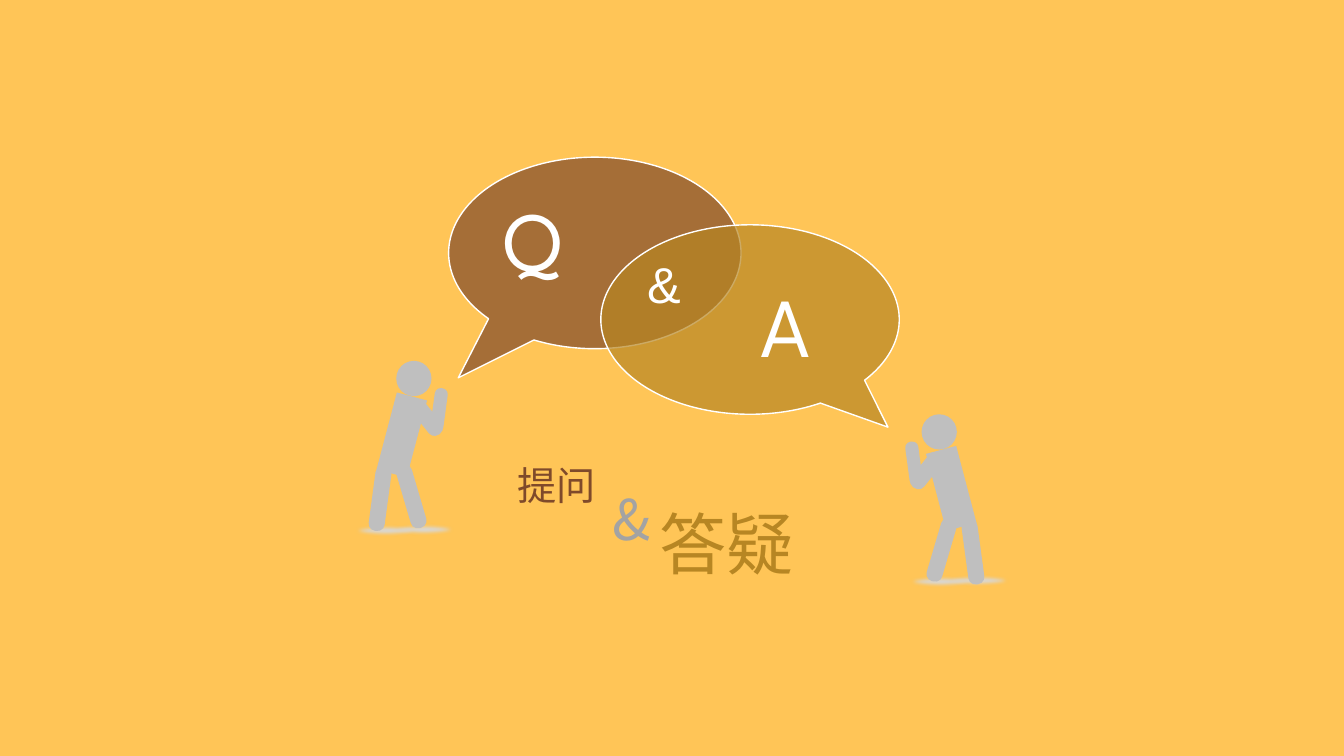
from lxml import etree
from pptx import Presentation
from pptx.dml.color import RGBColor
from pptx.enum import shapes, text
from pptx.oxml import ns
from pptx.util import Inches, Pt

THEME = {
    "back": "FFC557", "body": "BFBFBF", "shade": "D9D9D9", "white": "FFFFFF",
    "brown": "7F4A2A", "gold": "B78623", "gray": "A3A3A3",
    "title": "League Spartan", "plain": "Arial", "cjk": "Noto Sans CJK SC",
    "huge": 60, "large": 48, "mid": 40, "amp": 36, "small": 28,
}
KIND = shapes.MSO_SHAPE

# Shadows on the floor: left, top
FLOOR = [(3.84, 5.19), (8.96, 5.71), (9.34, 5.7), (3.46, 5.2)]
# Right-hand speaker: kind, (left, top, width, height), turn
SPEAKER = [
    (KIND.OVAL, (9.14, 4.11, 0.35, 0.35), 0),
    (KIND.RECTANGLE, (9.28, 4.45, 0.31, 0.79), -14.8),
    (KIND.ROUNDED_RECTANGLE, (9.26, 5.13, 0.16, 0.65), 16.4),
    (KIND.ROUNDED_RECTANGLE, (9.57, 5.15, 0.16, 0.65), -7.7),
    (KIND.ROUNDED_RECTANGLE, (9.11, 4.46, 0.16, 0.42), 38.6),
    (KIND.ROUNDED_RECTANGLE, (9, 4.38, 0.13, 0.44), -7.7),
]
MIRROR, LIFT = 13.42, 0.53
# Bubbles: box, tail point, fill
BUBBLES = [
    ((4.45, 1.56, 2.9, 1.9), (-0.467, 0.652), "brown"),
    ((5.96, 2.23, 2.96, 1.88), (0.462, 0.568), "gold"),
]
# Labels: wording, box, format
LABELS = [
    ("Q", (4.9, 1.88, 0.79, 0.97), dict(size="huge", font="title", color="white")),
    ("A", (7.44, 2.73, 0.73, 0.97), dict(size="huge", font="title", color="white")),
    ("&", (6.32, 2.46, 0.54, 0.71),
     dict(size="amp", font="plain", color="white", top=True)),
    ("提问", (5.03, 4.53, 0.99, 0.57), dict(size="small", color="brown")),
    ("答疑", (6.44, 4.93, 1.55, 0.91), dict(size="large", color="gold")),
    ("&", (5.98, 4.76, 0.54, 0.77), dict(size="mid", color="gray")),
]


def tint(name):
    """Return a theme colour."""
    return RGBColor.from_string(THEME[name])


def place(box):
    """Turn a box in inches into lengths."""
    return [Inches(n) for n in box]


def add(home, kind, box, color, turn=0, adjust=()):
    """Add a filled preset shape without outline or shadow."""
    shape = home.add_shape(kind, *place(box))
    shape.shadow.inherit = False
    shape.fill.solid()
    shape.fill.fore_color.rgb = tint(color)
    shape.line.fill.background()
    shape.rotation = turn % 360
    for i, value in enumerate(adjust):
        shape.adjustments[i] = value
    return shape


def soften(shape, points):
    """Blur the edge of a shape."""
    effects = shape._element.spPr.find(ns.qn("a:effectLst"))
    etree.SubElement(effects, ns.qn("a:softEdge"), rad=str(Pt(points)))


def person(home, mirror=False):
    """Draw a speaker as a group, on the right or mirrored on the left."""
    group = home.add_group_shape()
    for kind, (x, y, w, h), turn in SPEAKER:
        if mirror:
            x, y, turn = MIRROR - x - w, y - LIFT, -turn
        adjust = (0.451,) if kind == KIND.ROUNDED_RECTANGLE else ()
        add(group.shapes, kind, (x, y, w, h), "body", turn, adjust)


def bubble(home, box, tail, color):
    """Draw a see-through speech bubble with a white outline."""
    shape = add(home, KIND.OVAL_CALLOUT, box, color, adjust=tail)
    paint = shape._element.spPr.find(ns.qn("a:solidFill"))
    etree.SubElement(paint[0], ns.qn("a:alpha"), val="70000")
    shape.line.color.rgb = tint("white")
    shape.line.width = Pt(1)


def write(home, words, box, size, color, font="cjk", top=False):
    """Add one line of formatted text."""
    frame = home.add_textbox(*place(box)).text_frame
    frame.word_wrap = False
    if top:
        frame.auto_size = text.MSO_AUTO_SIZE.SHAPE_TO_FIT_TEXT
    else:
        frame.vertical_anchor = text.MSO_ANCHOR.MIDDLE
    run = frame.paragraphs[0].add_run()
    run.text = words
    run.font.size = Pt(THEME[size])
    run.font.color.rgb = tint(color)
    run.font.name = THEME[font]
    etree.SubElement(run.font._element, ns.qn("a:ea"), typeface=THEME[font])


def build():
    """Build and save the slide."""
    deck = Presentation()
    deck.slide_width, deck.slide_height = Inches(13.33), Inches(7.5)
    slide = deck.slides.add_slide(deck.slide_layouts[6])
    slide.background.fill.solid()
    slide.background.fill.fore_color.rgb = tint("back")
    home = slide.shapes
    for x, y in FLOOR:
        soften(add(home, KIND.OVAL, (x, y, 0.73, 0.12), "shade"), 2.5)
    person(home)
    for box, tail, color in BUBBLES:
        bubble(home, box, tail, color)
    person(home, mirror=True)
    for words, box, style in LABELS:
        write(home, words, box, **style)
    deck.save("out.pptx")


build()
